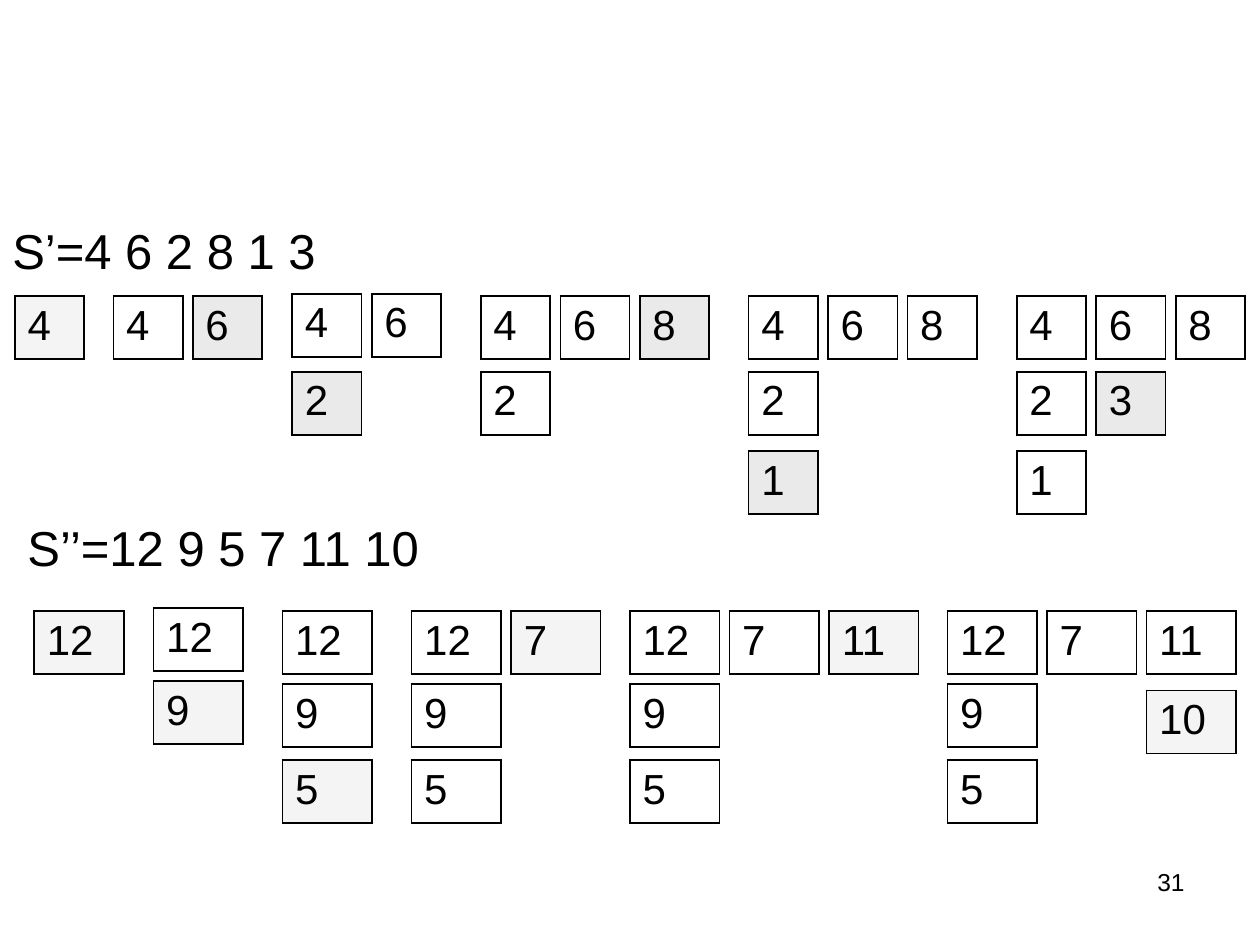
from lxml.etree import SubElement
from pptx import Presentation
from pptx.dml.color import RGBColor
from pptx.enum.text import PP_ALIGN
from pptx.oxml.ns import qn
from pptx.util import Pt

HUES = {"ink": "000000", "new": "EAEAEA"}


class Deck:
    """Holds the text style and the slide being drawn."""

    def __init__(self, show, font="Arial"):
        self.font = font
        self.slide = show.slides.add_slide(show.slide_layouts[6])

    def letter(self, frame, text, size):
        frame.text = text
        font = frame.paragraphs[0].runs[0].font
        font.name, font.size = self.font, Pt(size)
        font.color.rgb = RGBColor.from_string(HUES["ink"])

    def label(self, text, box, size, wrap=True, align=PP_ALIGN.LEFT):
        frame = self.slide.shapes.add_textbox(*map(Pt, box)).text_frame
        frame.word_wrap = wrap
        self.letter(frame, text, size)
        frame.paragraphs[0].alignment = align

    def edge(self, props):
        for side in ("L", "R", "T", "B"):
            line = SubElement(props, qn(f"a:ln{side}"), w=str(Pt(1.08)))
            fill = SubElement(line, qn("a:solidFill"))
            SubElement(fill, qn("a:srgbClr"), val=HUES["ink"])

    def tile(self, text, box, alpha=0):
        table = self.slide.shapes.add_table(1, 1, *map(Pt, box)).table
        table.first_row = table.horz_banding = False
        cell = table.cell(0, 0)
        props = cell._tc.get_or_add_tcPr()
        self.edge(props)
        if alpha:
            cell.fill.solid()
            cell.fill.fore_color.rgb = RGBColor.from_string(HUES["new"])
            if alpha < 100:
                tint = props.find(qn("a:solidFill")).find(qn("a:srgbClr"))
                SubElement(tint, qn("a:alpha"), val=str(alpha * 1000))
        else:
            cell.fill.background()
        self.letter(cell.text_frame, text, 24)

    def stage(self, left, tops, wide, rows, new="", alpha=50, shift=0):
        for top, row in zip(tops, rows):
            for col, text in enumerate(row.split()):
                box = (left + col * (wide + 5.8), top + shift, wide, 36)
                self.tile(text, box, alpha if text == new else 0)


def main():
    show = Presentation()
    show.slide_width, show.slide_height = Pt(720), Pt(540)
    deck = Deck(show)

    deck.label("S’=4 6 2 8 1 3", (0, 122.4, 188, 41), 28, wrap=False)
    tops, wide = (169.2, 212.4, 257.8), 39.6
    deck.stage(8.6, tops, wide, ["4"], "4")
    deck.stage(64.8, tops, wide, ["4 6"], "6", 100)
    deck.stage(167, tops, wide, ["4 6"], shift=-1.4)
    deck.stage(167, tops, wide, ["", "2"], "2", 100)
    deck.stage(274.8, tops, wide, ["4 6 8", "2"], "8", 100)
    deck.stage(427.8, tops, wide, ["4 6 8", "2", "1"], "1", 100)
    deck.stage(581, tops, wide, ["4 6 8", "2 3", "1"], "3", 100)

    deck.label("S’’=12 9 5 7 11 10", (8.6, 292.3, 306, 41), 28)
    tops, wide = (349.2, 391, 434.2), 51.1
    deck.stage(19.6, tops, wide, ["12"], "12")
    deck.stage(87.8, tops, wide, ["12", "9"], "9", shift=-1.8)
    deck.stage(161.4, tops, wide, ["12", "9", "5"], "5")
    deck.stage(235.2, tops, wide, ["12 7", "9", "5"], "7")
    deck.stage(360, tops, wide, ["12 7 11", "9", "5"], "11")
    deck.stage(541.4, tops, wide, ["12 7 11", "9", "5"])
    deck.stage(655.2, tops, wide, ["", "10"], "10", shift=3.6)

    deck.label("31", (516.2, 491.8, 167.8, 37.4), 14, align=PP_ALIGN.RIGHT)
    show.save("out.pptx")


if __name__ == "__main__":
    main()
